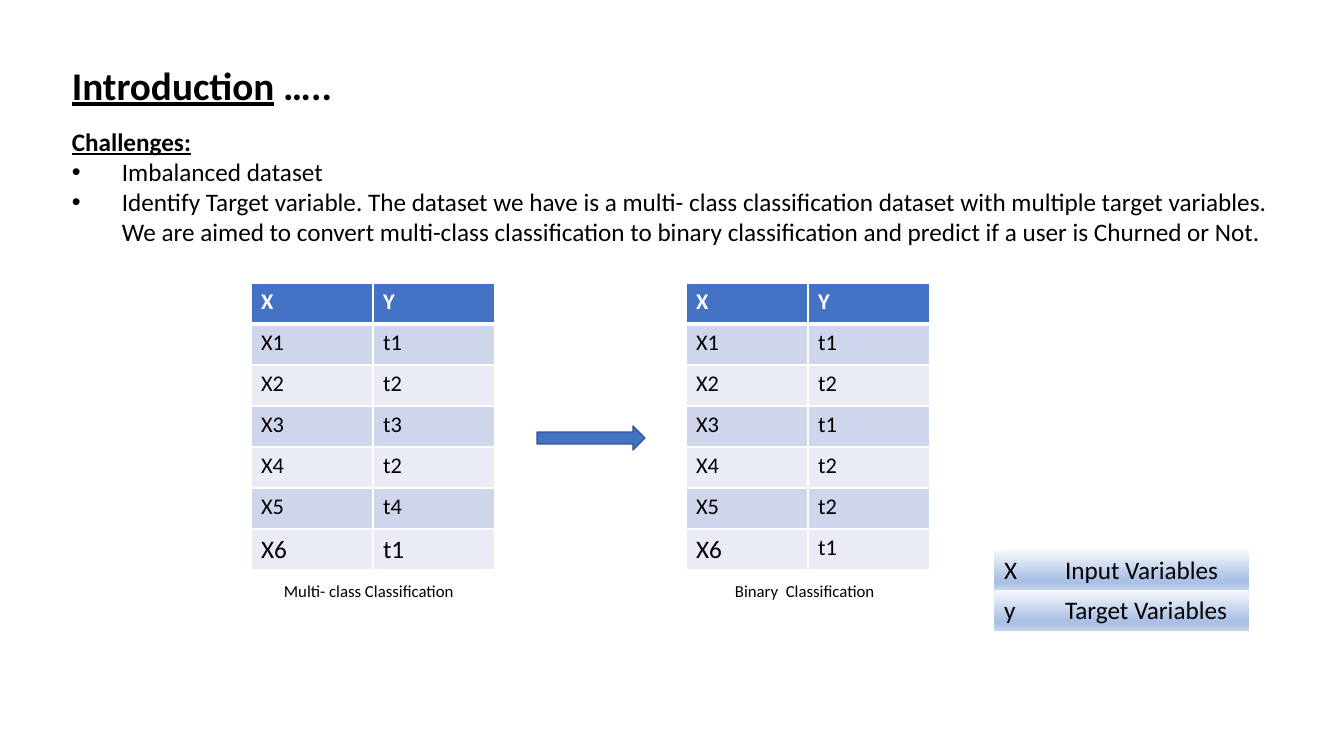
from dataclasses import dataclass

from pptx import Presentation
from pptx import util as u
from pptx.dml.color import RGBColor
from pptx.enum import shapes, text
from pptx.oxml import parse_xml
from pptx.oxml.ns import nsdecls

EMU_PER_PX = 914400 / 100.8


def px(n):
    return u.Emu(round(n * EMU_PER_PX))


@dataclass(frozen=True)
class Theme:
    font: str = "Calibri"
    ink: str = "000000"
    white: str = "FFFFFF"
    accent: str = "4472C4"
    accent_edge: str = "325491"
    bands: tuple = ("CFD5EA", "E9EBF5")
    legend: tuple = ((0, "F6F8FC"), (74, "ABC0E4"), (83, "ABC0E4"), (100, "C7D5ED"))
    title: int = 28
    body: int = 18
    cell: int = 16
    caption: int = 12


class SlideBuilder:
    def __init__(self, slide, theme):
        self.slide = slide
        self.theme = theme

    def style(self, p, size, color=None, bold=False, underline=None):
        f = p.font
        f.name = self.theme.font
        f.size = u.Pt(size)
        f.bold = bold
        f.underline = underline
        f.color.rgb = RGBColor.from_string(color or self.theme.ink)

    def textbox(self, x, y, w, h):
        sp = self.slide.shapes.add_textbox(px(x), px(y), px(w), px(h))
        tf = sp.text_frame
        tf.word_wrap = True
        tf.auto_size = text.MSO_AUTO_SIZE.SHAPE_TO_FIT_TEXT
        return tf

    def title(self, x, y, w, h, underlined, rest):
        p = self.textbox(x, y, w, h).paragraphs[0]
        self.style(p, self.theme.title, bold=True)
        r = p.add_run()
        r.text = underlined
        r.font.underline = True
        p.add_run().text = rest

    def bullets(self, x, y, w, h, heading, items):
        tf = self.textbox(x, y, w, h)
        p = tf.paragraphs[0]
        p.text = heading
        self.style(p, self.theme.body, bold=True, underline=True)
        for item in items:
            p = tf.add_paragraph()
            p.text = item
            self.style(p, self.theme.body)
            pPr = p._p.get_or_add_pPr()
            pPr.set("marL", str(px(50)))
            pPr.set("indent", str(px(-50)))
            pPr.insert(0, parse_xml(f'<a:buChar {nsdecls("a")} char="•"/>'))
            pPr.insert(0, parse_xml(f'<a:buFont {nsdecls("a")} typeface="Arial"/>'))

    def caption(self, x, y, w, h, words):
        p = self.textbox(x, y, w, h).paragraphs[0]
        p.text = words
        self.style(p, self.theme.caption)

    def table(self, x, y, widths, row_height, rows):
        sp = self.slide.shapes.add_table(
            len(rows), len(widths), px(x), px(y),
            px(sum(widths)), px(row_height * len(rows)))
        tbl = sp.table
        for col, width in zip(tbl.columns, widths):
            col.width = px(width)
        for row, values in zip(tbl.rows, rows):
            row.height = px(row_height)
            for cell, value in zip(row.cells, values):
                cell.text = value
        return tbl

    def borders(self, cell, **points):
        tcPr = cell._tc.get_or_add_tcPr()
        for side in "LRTB":
            width = points.get(side, 0)
            paint = (f'<a:solidFill><a:srgbClr val="{self.theme.white}"/></a:solidFill>'
                     if width else "<a:noFill/>")
            tcPr.append(parse_xml(
                f'<a:ln{side} {nsdecls("a")} w="{u.Pt(width)}">{paint}</a:ln{side}>'))

    def class_table(self, x, y, rows, large):
        t = self.theme
        tbl = self.table(x, y, (122, 122), 41, rows)
        for i, row in enumerate(tbl.rows):
            header = i == 0
            for j, cell in enumerate(row.cells):
                self.borders(cell, L=1, R=1, T=3 if i == 1 else 1, B=3 if header else 1)
                cell.fill.solid()
                cell.fill.fore_color.rgb = RGBColor.from_string(
                    t.accent if header else t.bands[(i - 1) % 2])
                self.style(cell.text_frame.paragraphs[0],
                           t.body if (i, j) in large else t.cell,
                           t.white if header else t.ink, bold=header)

    def legend(self, x, y, widths, rows):
        stops = "".join(
            f'<a:gs pos="{pos * 1000}"><a:srgbClr val="{color}"/></a:gs>'
            for pos, color in self.theme.legend)
        tbl = self.table(x, y, widths, 40, rows)
        tbl.first_row = False
        tbl.horz_banding = False
        for cell in tbl.iter_cells():
            self.borders(cell)
            cell._tc.get_or_add_tcPr().append(parse_xml(
                f'<a:gradFill {nsdecls("a")} rotWithShape="1"><a:gsLst>{stops}</a:gsLst>'
                '<a:lin ang="5400000" scaled="0"/></a:gradFill>'))
            self.style(cell.text_frame.paragraphs[0], self.theme.body)

    def arrow(self, x, y, w, h):
        sp = self.slide.shapes.add_shape(
            shapes.MSO_SHAPE.RIGHT_ARROW, px(x), px(y), px(w), px(h))
        sp.shadow.inherit = False
        sp.fill.solid()
        sp.fill.fore_color.rgb = RGBColor.from_string(self.theme.accent)
        sp.line.color.rgb = RGBColor.from_string(self.theme.accent_edge)
        sp.line.width = u.Pt(1)


def class_rows(targets):
    return [("X", "Y")] + [(f"X{i}", target) for i, target in enumerate(targets, 1)]


def main():
    prs = Presentation()
    prs.slide_width, prs.slide_height = px(1344), px(756)
    s = SlideBuilder(prs.slides.add_slide(prs.slide_layouts[6]), Theme())

    s.title(62, 56, 892, 58, "Introduction", " …..")
    s.bullets(62, 121, 1249, 132, "Challenges:", [
        "Imbalanced dataset",
        "Identify Target variable. The dataset we have is a multi- class classification "
        "dataset with multiple target variables. We are aimed to convert multi-class "
        "classification to binary classification and predict if a user is Churned or Not.",
    ])
    s.caption(274, 576, 199, 30, "Multi- class Classification")
    s.caption(725, 576, 168, 30, "Binary  Classification")
    s.legend(994, 550, (61, 194), [("X", "Input Variables"), ("y", "Target Variables")])
    s.class_table(251, 283, class_rows(["t1", "t2", "t3", "t2", "t4", "t1"]),
                  large={(6, 0), (6, 1)})
    s.class_table(686, 283, class_rows(["t1", "t2", "t1", "t2", "t2", "t1"]),
                  large={(6, 0)})
    s.arrow(537, 426, 108, 24)

    prs.save("out.pptx")


if __name__ == "__main__":
    main()
